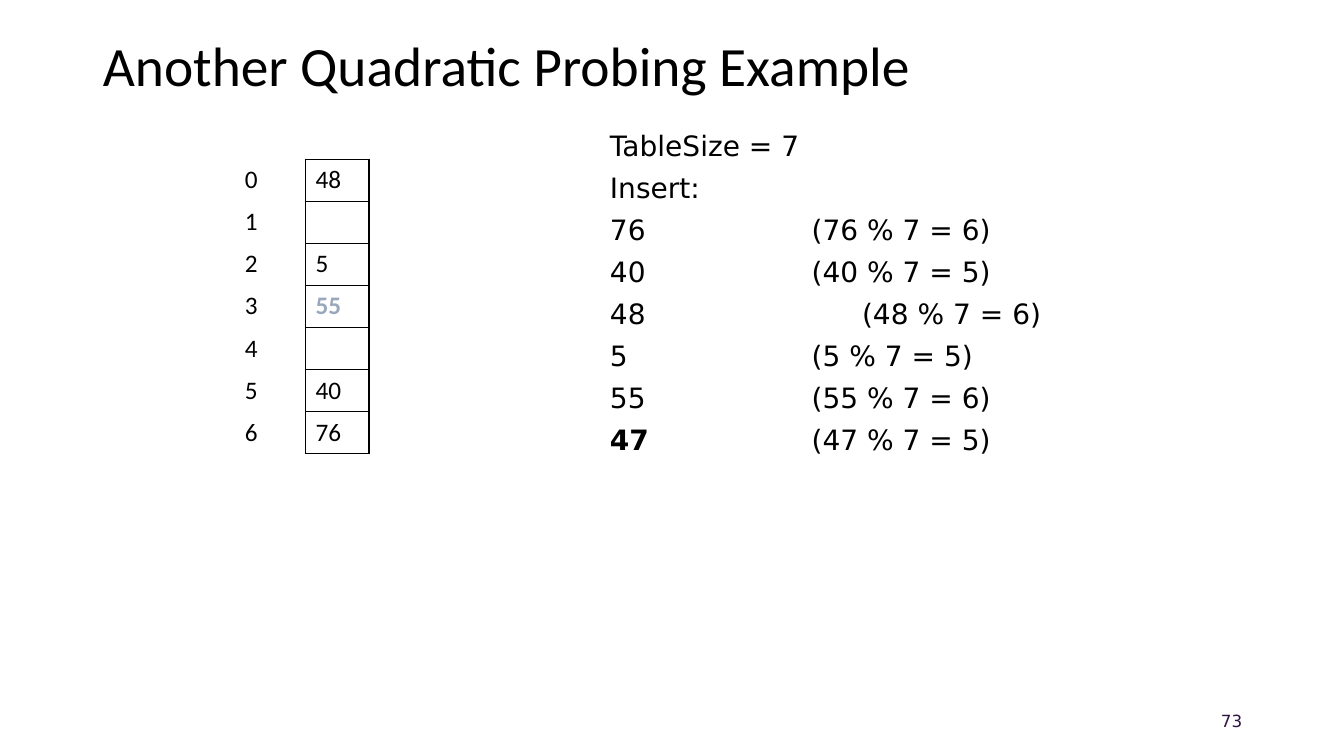
from dataclasses import dataclass
from typing import Any

import lxml.etree
import pptx
import pptx.dml.color
import pptx.enum.text
import pptx.oxml.ns
import pptx.util


@dataclass(frozen=True)
class Theme:
    heading_font: str = "Calibri"
    body_font: str = "DejaVu Sans"
    ink: str = "000000"
    highlight: str = "99A8BD"
    page_number: str = "2F1343"
    title_size: float = 39.6
    body_size: float = 20
    table_size: float = 18
    number_size: float = 12
    line_gap: float = 6
    border_width: float = 1


@dataclass(frozen=True)
class Frame:
    left: float
    top: float
    width: float
    height: float


@dataclass(frozen=True)
class Insertion:
    key: str
    probe: str = ""
    tabs: int = 2
    hanging: float = 0
    bold: bool = False


THEME = Theme()
TABLE_SIZE = 7
TABLE_HEIGHT = 2.92
TAB_DISTANCE = 1
COLUMN_WIDTHS = (0.7, 0.63)
BUCKETS = {0: "48", 2: "5", 3: "55", 5: "40", 6: "76"}
HIGHLIGHTED_BUCKET = 3
INSERTIONS = (
    Insertion("TableSize = 7"),
    Insertion("Insert:"),
    Insertion("76", "(76 % 7 = 6)"),
    Insertion("40", "(40 % 7 = 5)"),
    Insertion("48", "(48 % 7 = 6)", tabs=3, hanging=0.5),
    Insertion("5", "(5 % 7 = 5)"),
    Insertion("55", "(55 % 7 = 6)"),
    Insertion("47", "(47 % 7 = 5)", bold=True),
)


def apply_format(target: Any, values: dict[str, Any]) -> None:
    for name, value in values.items():
        setattr(target, name, value)


def place(shape: Any, frame: Frame) -> None:
    apply_format(shape, {
        "left": pptx.util.Inches(frame.left),
        "top": pptx.util.Inches(frame.top),
        "width": pptx.util.Inches(frame.width),
        "height": pptx.util.Inches(frame.height),
    })


def add_span(para: Any, text: str, font: str, size: float,
             color: str = THEME.ink, bold: bool = False) -> None:
    span = para.add_run()
    span.text = text
    apply_format(span.font, {"name": font, "size": pptx.util.Pt(size), "bold": bold})
    span.font.color.rgb = pptx.dml.color.RGBColor.from_string(color)


def add_element(parent: Any, tag: str, **attributes: str) -> Any:
    return lxml.etree.SubElement(parent, pptx.oxml.ns.qn(tag), attributes)


def draw_title(page: Any) -> None:
    title = page.shapes.title
    place(title, Frame(0.92, 0.39, 11.5, 0.57))
    apply_format(title.text_frame, {
        "vertical_anchor": pptx.enum.text.MSO_ANCHOR.MIDDLE,
        "auto_size": pptx.enum.text.MSO_AUTO_SIZE.NONE,
    })
    para = title.text_frame.paragraphs[0]
    apply_format(para, {"alignment": pptx.enum.text.PP_ALIGN.LEFT, "line_spacing": 0.9})
    add_span(para, "Another Quadratic Probing Example", THEME.heading_font, THEME.title_size)


def draw_page_number(page: Any) -> None:
    box = page.shapes.add_textbox(0, 0, 0, 0)
    place(box, Frame(9.42, 6.95, 3, 0.4))
    apply_format(box.text_frame, {
        "word_wrap": True,
        "vertical_anchor": pptx.enum.text.MSO_ANCHOR.MIDDLE,
    })
    para = box.text_frame.paragraphs[0]
    para.alignment = pptx.enum.text.PP_ALIGN.RIGHT
    add_span(para, "73", THEME.body_font, THEME.number_size, THEME.page_number)


def add_borders(cell: Any) -> None:
    properties = cell._tc.get_or_add_tcPr()
    for position, side in enumerate(("a:lnL", "a:lnR", "a:lnT", "a:lnB")):
        line = lxml.etree.Element(pptx.oxml.ns.qn(side),
                                  {"w": str(pptx.util.Pt(THEME.border_width))})
        fill = add_element(line, "a:solidFill")
        add_element(fill, "a:srgbClr", val=THEME.ink)
        properties.insert(position, line)


def draw_hash_table(page: Any) -> None:
    frame = Frame(2.33, 1.58, sum(COLUMN_WIDTHS), TABLE_HEIGHT)
    table = page.shapes.add_table(
        TABLE_SIZE, len(COLUMN_WIDTHS),
        pptx.util.Inches(frame.left), pptx.util.Inches(frame.top),
        pptx.util.Inches(frame.width), pptx.util.Inches(frame.height)).table
    apply_format(table, {"first_row": False, "horz_banding": False})
    for column, width in zip(table.columns, COLUMN_WIDTHS):
        column.width = pptx.util.Inches(width)
    for index in range(TABLE_SIZE):
        for column, text in enumerate((str(index), BUCKETS.get(index, ""))):
            cell = table.cell(index, column)
            cell.fill.background()
            cell.vertical_anchor = pptx.enum.text.MSO_ANCHOR.MIDDLE
            para = cell.text_frame.paragraphs[0]
            marked = column == 1 and index == HIGHLIGHTED_BUCKET
            if text:
                add_span(para, text, THEME.heading_font, THEME.table_size,
                         THEME.highlight if marked else THEME.ink, marked)
            else:
                para.font.size = pptx.util.Pt(THEME.table_size)
            if column == 1:
                add_borders(cell)


def draw_insertions(page: Any) -> None:
    body = page.placeholders[1]
    place(body, Frame(5.95, 1.22, 4.82, 4.64))
    apply_format(body.text_frame, {
        "word_wrap": True,
        "auto_size": pptx.enum.text.MSO_AUTO_SIZE.NONE,
    })
    for position, insertion in enumerate(INSERTIONS):
        para = body.text_frame.add_paragraph() if position else body.text_frame.paragraphs[0]
        para.space_before = pptx.util.Pt(THEME.line_gap if position else 0)
        properties = para._p.get_or_add_pPr()
        lengths = {"marL": insertion.hanging, "indent": -insertion.hanging,
                   "defTabSz": TAB_DISTANCE}
        for name, length in lengths.items():
            properties.set(name, str(pptx.util.Inches(length)))
        add_element(properties, "a:buNone")
        add_span(para, insertion.key, THEME.body_font, THEME.body_size, bold=insertion.bold)
        if insertion.probe:
            gap = "\t" * insertion.tabs
            add_span(para, f"{gap}{insertion.probe}", THEME.body_font, THEME.body_size)


def main() -> None:
    deck = pptx.Presentation()
    apply_format(deck, {
        "slide_width": pptx.util.Inches(13.33),
        "slide_height": pptx.util.Inches(7.5),
    })
    page = deck.slides.add_slide(deck.slide_layouts[1])
    draw_title(page)
    draw_page_number(page)
    draw_hash_table(page)
    draw_insertions(page)
    deck.save("out.pptx")


if __name__ == "__main__":
    main()
